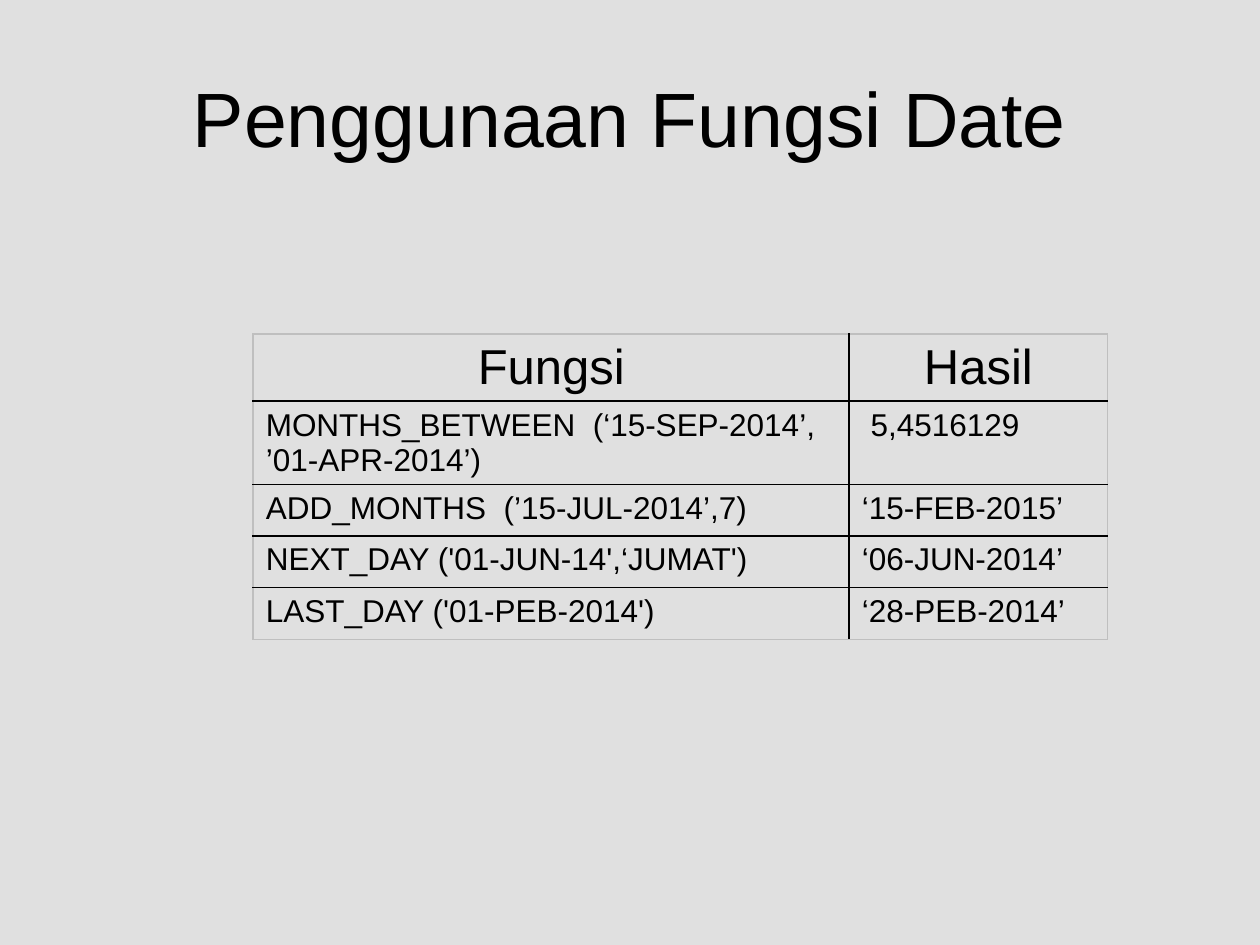
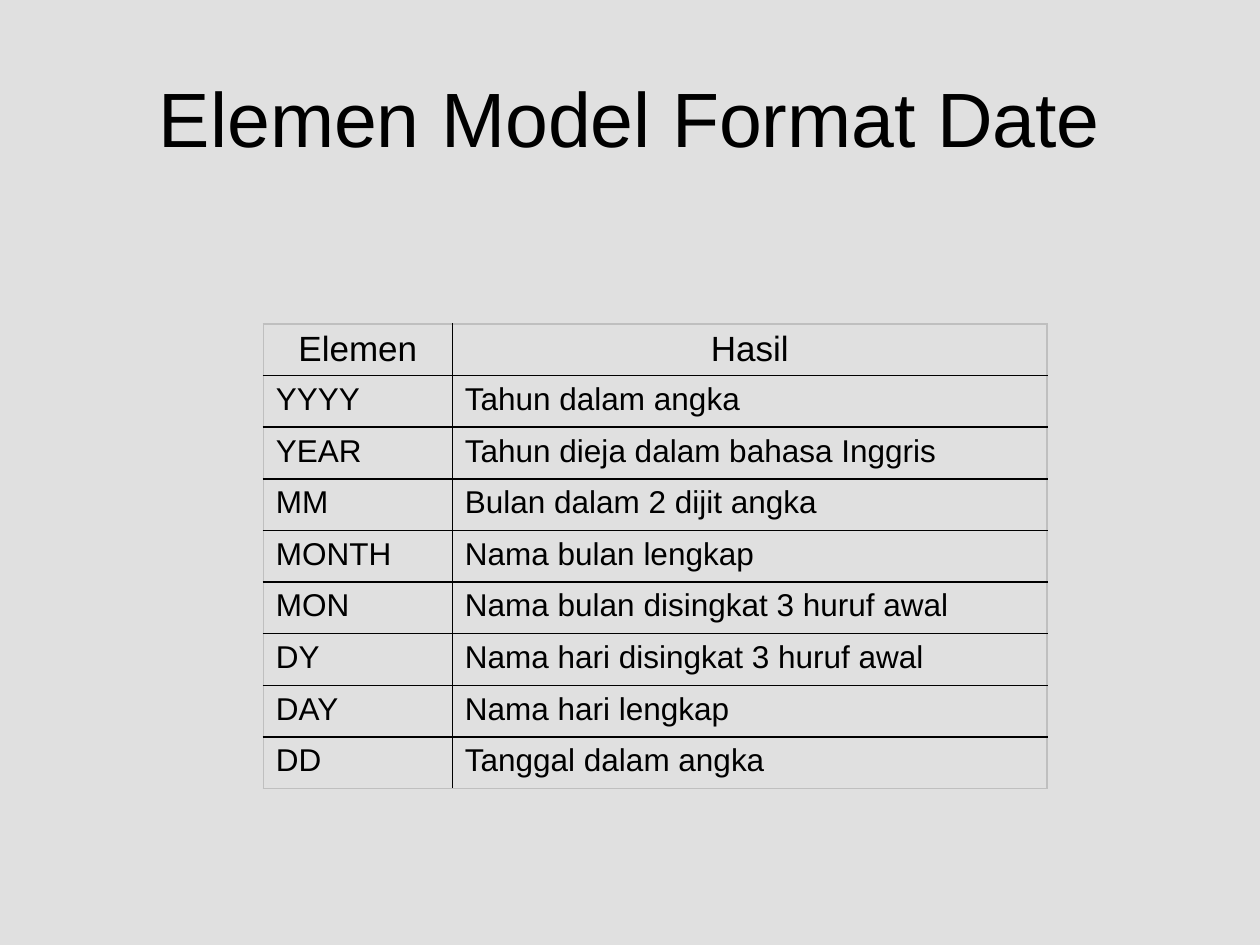
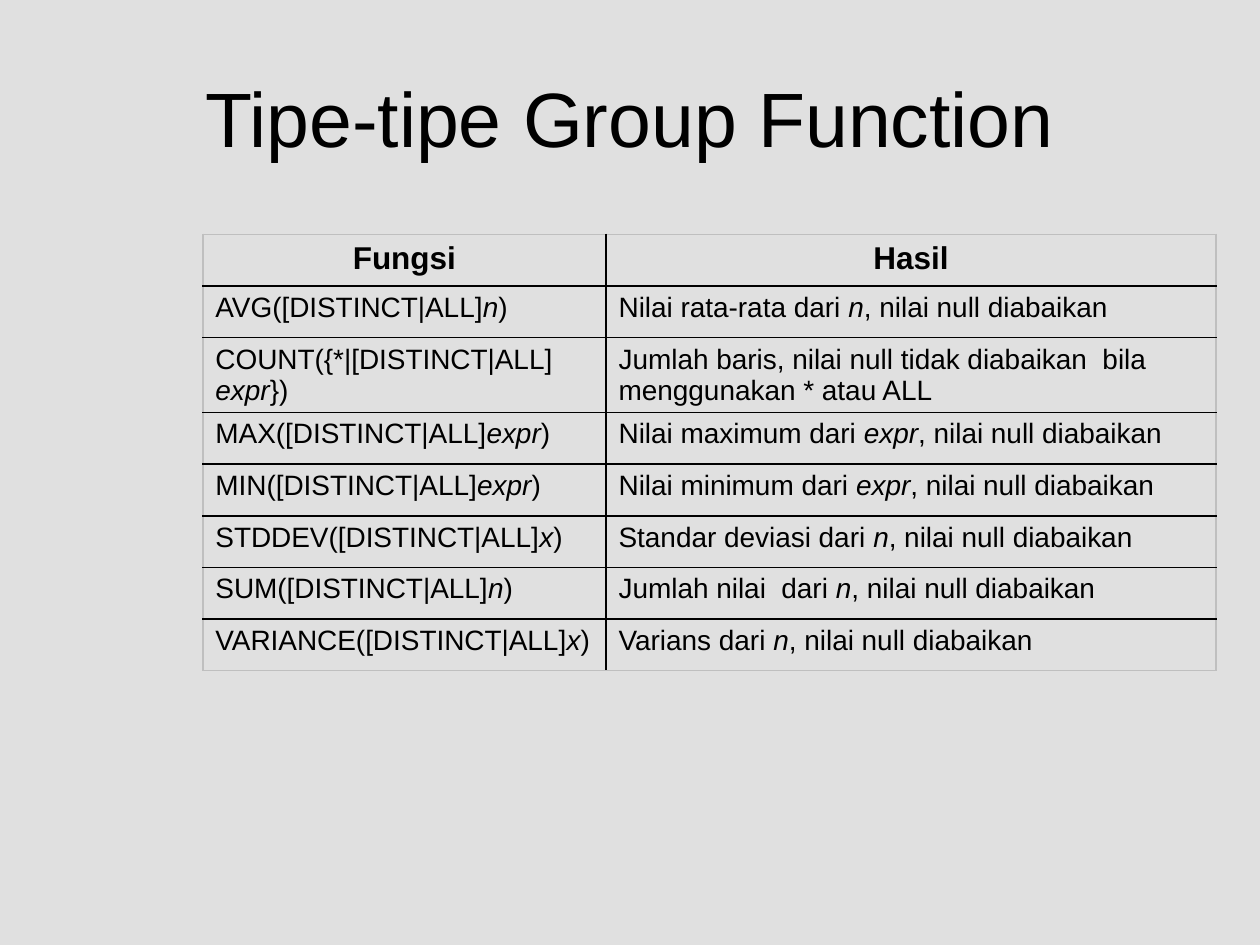
from dataclasses import dataclass

from lxml import etree
from pptx import Presentation
from pptx import util as u
from pptx.dml.color import RGBColor
from pptx.enum import text
from pptx.oxml import ns


@dataclass(frozen=True)
class Theme:
    font: str = "Arial"
    back: str = "E0E0E0"
    ink: str = "000000"
    edge: str = "BFBFBF"
    title_size: int = 44
    line_width: float = 1
    row_height: float = 0.41


ITALIC = "~"  # encloses italic words in cell text


class Deck:
    def __init__(self, theme):
        self.theme = theme
        self.prs = Presentation()
        self.prs.slide_width = u.Inches(10)
        self.prs.slide_height = u.Inches(7.5)
        fill = self.prs.slide_master.background.fill
        fill.solid()
        fill.fore_color.rgb = RGBColor.from_string(theme.back)
        self.s = None

    def add_text(self, tf, content, size, bold=False, align=text.PP_ALIGN.LEFT):
        p = tf.paragraphs[0]
        p.alignment = align
        for i, part in enumerate(content.split(ITALIC)):
            r = p.add_run()
            r.text = part
            look = {"name": self.theme.font, "size": u.Pt(size),
                    "bold": bold, "italic": i % 2 == 1}
            for name, value in look.items():
                setattr(r.font, name, value)
            r.font.color.rgb = RGBColor.from_string(self.theme.ink)

    def slide(self, title):
        self.s = self.prs.slides.add_slide(self.prs.slide_layouts[5])
        sp = self.s.shapes.title
        place = {"left": 0.5, "top": 0.3, "width": 9, "height": 1.25}
        for name, value in place.items():
            setattr(sp, name, u.Inches(value))
        sp.text_frame.vertical_anchor = text.MSO_ANCHOR.MIDDLE
        self.add_text(sp.text_frame, title, self.theme.title_size,
                      align=text.PP_ALIGN.CENTER)

    def borders(self, cell, outer):
        """Draw four sides; the sides named in outer get the edge colour."""
        tc_pr = cell._tc.get_or_add_tcPr()
        for i, side in enumerate("LRTB"):
            ln = etree.Element(ns.qn(f"a:ln{side}"),
                               w=str(u.Pt(self.theme.line_width)))
            fill = etree.SubElement(ln, ns.qn("a:solidFill"))
            color = self.theme.edge if side in outer else self.theme.ink
            etree.SubElement(fill, ns.qn("a:srgbClr"), val=color)
            tc_pr.insert(i, ln)

    def table(self, left, top, widths, rows, head_size, size, head_bold=False):
        height = self.theme.row_height
        frame = self.s.shapes.add_table(
            len(rows), len(widths), u.Inches(left), u.Inches(top),
            u.Inches(sum(widths)), u.Inches(height * len(rows)))
        table = frame.table
        for flag in ("first_row", "horz_banding"):
            setattr(table, flag, False)
        for column, width in zip(table.columns, widths):
            column.width = u.Inches(width)
        for y, row in enumerate(rows):
            table.rows[y].height = u.Inches(height)
            for x, content in enumerate(row):
                cell = table.cell(y, x)
                cell.fill.background()
                outside = {"L": x == 0, "R": x == len(widths) - 1,
                           "T": y == 0, "B": y == len(rows) - 1}
                self.borders(cell, [side for side, out in outside.items() if out])
                if y == 0:
                    self.add_text(cell.text_frame, content, head_size, head_bold,
                                  text.PP_ALIGN.CENTER)
                else:
                    self.add_text(cell.text_frame, content, size)


def main():
    deck = Deck(Theme())

    # Date functions
    deck.slide("Penggunaan Fungsi Date")
    deck.table(2.01, 2.65, (4.73, 2.05), [
        ("Fungsi", "Hasil"),
        ("MONTHS_BETWEEN  (‘15-SEP-2014’, ’01-APR-2014’)", " 5,4516129"),
        ("ADD_MONTHS  (’15-JUL-2014’,7)", "‘15-FEB-2015’"),
        ("NEXT_DAY ('01-JUN-14',‘JUMAT')", "‘06-JUN-2014’"),
        ("LAST_DAY ('01-PEB-2014')", "‘28-PEB-2014’"),
    ], head_size=28, size=18)

    # Date format elements
    deck.slide("Elemen Model Format Date")
    deck.table(2.09, 2.57, (1.5, 4.72), [
        ("Elemen", "Hasil"),
        ("YYYY", "Tahun dalam angka"),
        ("YEAR", "Tahun dieja dalam bahasa Inggris"),
        ("MM", "Bulan dalam 2 dijit angka"),
        ("MONTH", "Nama bulan lengkap"),
        ("MON", "Nama bulan disingkat 3 huruf awal"),
        ("DY", "Nama hari disingkat 3 huruf awal"),
        ("DAY", "Nama hari lengkap"),
        ("DD", "Tanggal dalam angka"),
    ], head_size=20, size=18)

    # Group functions
    deck.slide("Tipe-tipe Group Function")
    deck.table(1.61, 1.86, (3.2, 4.84), [
        ("Fungsi", "Hasil"),
        ("AVG([DISTINCT|ALL]~n~)", "Nilai rata-rata dari ~n~, nilai null diabaikan"),
        ("COUNT({*|[DISTINCT|ALL] ~expr~})",
         "Jumlah baris, nilai null tidak diabaikan  bila menggunakan * atau ALL"),
        ("MAX([DISTINCT|ALL]~expr~)", "Nilai maximum dari ~expr~, nilai null diabaikan"),
        ("MIN([DISTINCT|ALL]~expr~)", "Nilai minimum dari ~expr~, nilai null diabaikan"),
        ("STDDEV([DISTINCT|ALL]~x~)", "Standar deviasi dari ~n~, nilai null diabaikan"),
        ("SUM([DISTINCT|ALL]~n~)", "Jumlah nilai  dari ~n~, nilai null diabaikan"),
        ("VARIANCE([DISTINCT|ALL]~x~)", "Varians dari ~n~, nilai null diabaikan"),
    ], head_size=18, size=16, head_bold=True)

    deck.prs.save("out.pptx")


if __name__ == "__main__":
    main()
